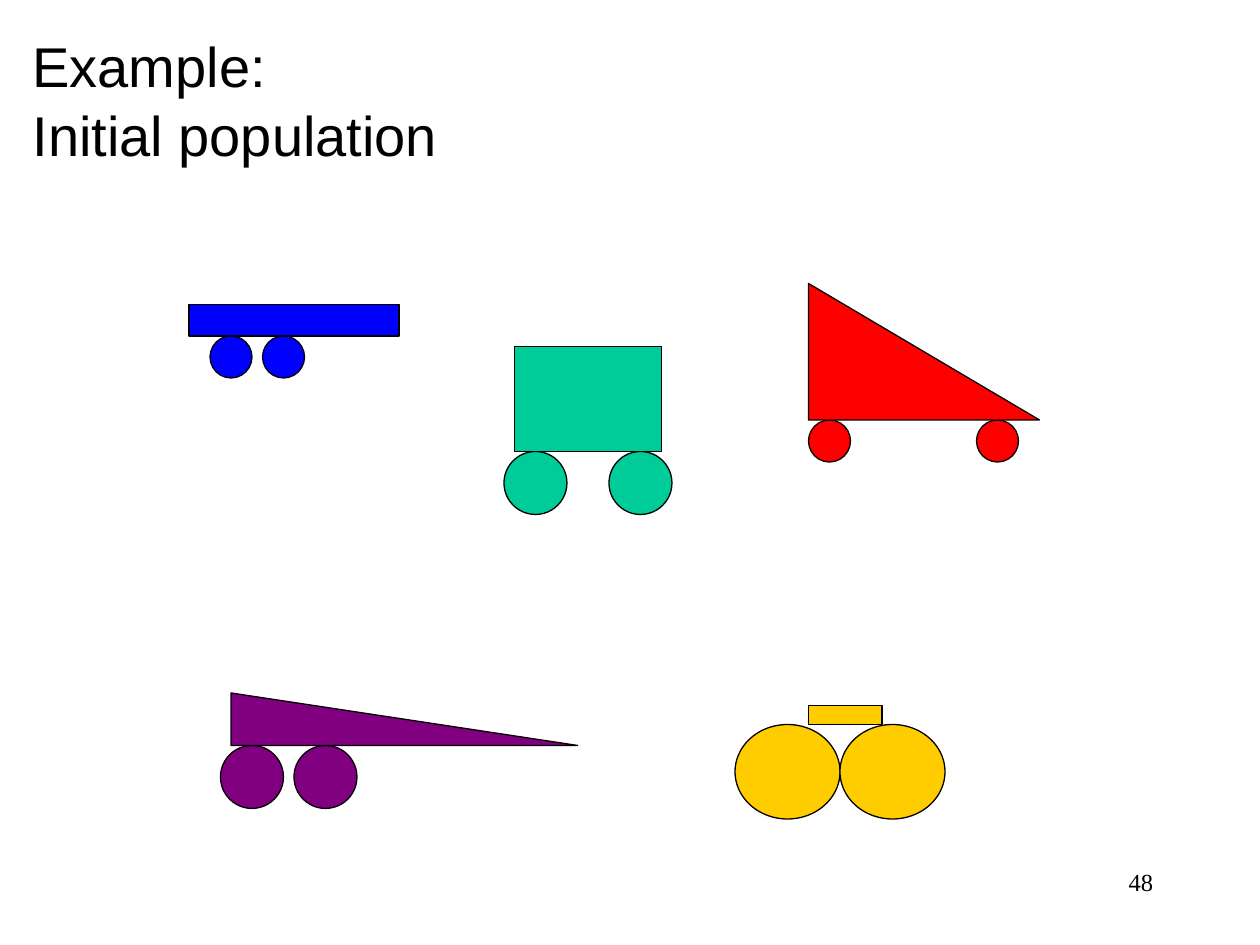
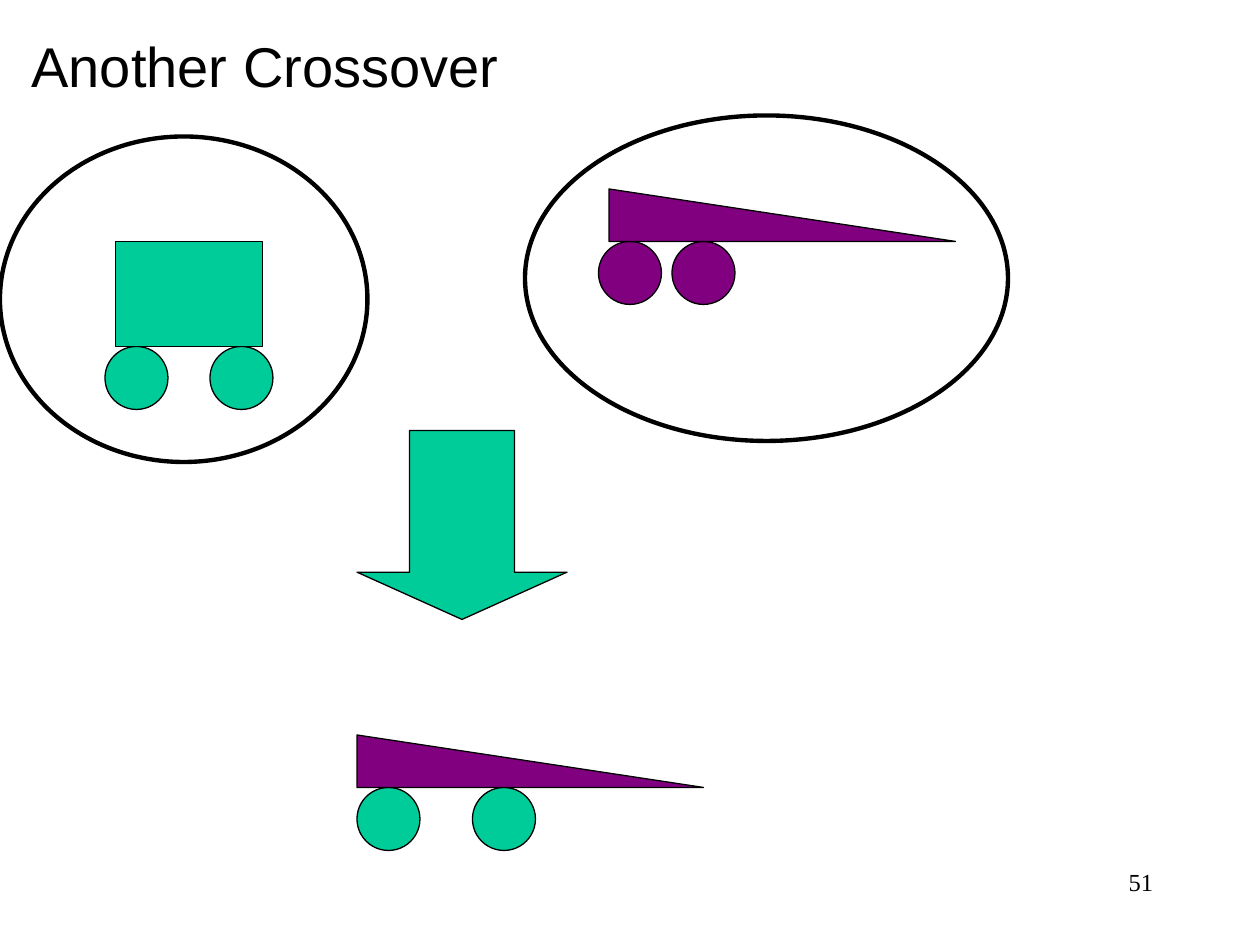
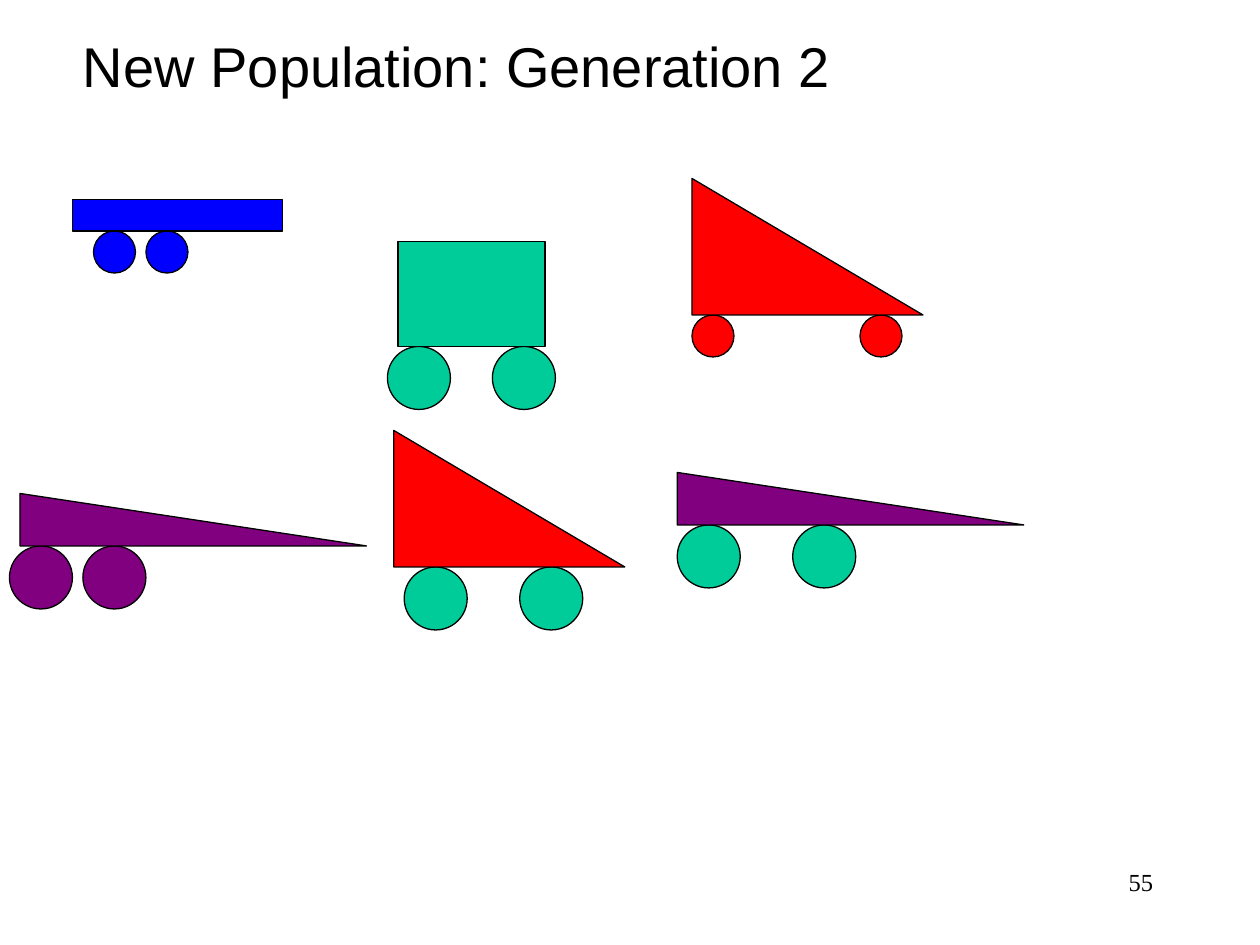
from collections import namedtuple

from pptx import Presentation
from pptx import util as u
from pptx.dml.color import RGBColor
from pptx.enum import shapes, text

PX = u.Inches(1) // 120
BLACK = RGBColor(0x00, 0x00, 0x00)
BLUE = RGBColor(0x00, 0x00, 0xFF)
GREEN = RGBColor(0x00, 0xCC, 0x99)
RED = RGBColor(0xFF, 0x00, 0x00)
PURPLE = RGBColor(0x80, 0x00, 0x80)
YELLOW = RGBColor(0xFF, 0xCC, 0x00)

SHAPE = shapes.MSO_SHAPE
TITLE_FONT = "Arial"
NUMBER_FONT = "Times New Roman"
NUMBER_BOX = (860, 820, 250, 60)

Car = namedtuple("Car", "kind size color wheel_size wheel_color wheel_offsets")
BLUE_CAR = Car(SHAPE.RECTANGLE, (200, 30), BLUE, (40, 40), BLUE, (20, 70))
GREEN_CAR = Car(SHAPE.RECTANGLE, (140, 100), GREEN, (60, 60), GREEN, (-10, 90))
RED_CAR = Car(SHAPE.RIGHT_TRIANGLE, (220, 130), RED, (40, 40), RED, (0, 160))
PURPLE_CAR = Car(SHAPE.RIGHT_TRIANGLE, (330, 50), PURPLE, (60, 60), PURPLE, (-10, 60))
YELLOW_CAR = Car(SHAPE.RECTANGLE, (70, 18), YELLOW, (100, 90), YELLOW, (-70, 30))
RED_CHILD = RED_CAR._replace(wheel_size=(60, 60), wheel_color=GREEN, wheel_offsets=(10, 120))
PURPLE_CHILD = PURPLE_CAR._replace(wheel_color=GREEN, wheel_offsets=(0, 110))


def emu(box):
    """Turn a box in px into EMU."""
    return [u.Emu(v * PX) for v in box]


def add_figure(s, kind, box, color=None, weight=0.75):
    """Draw an outlined shape, unfilled when no colour is given."""
    sp = s.shapes.add_shape(kind, *emu(box))
    sp.shadow.inherit = False
    if color is None:
        sp.fill.background()
    else:
        sp.fill.solid()
        sp.fill.fore_color.rgb = color
    sp.line.color.rgb = BLACK
    sp.line.width = u.Pt(weight)
    return sp


def add_car(s, car, x, y):
    """Draw a car whose body starts at x, y and rests on its wheels."""
    width, height = car.size
    for offset in car.wheel_offsets:
        add_figure(s, SHAPE.OVAL, (x + offset, y + height, *car.wheel_size), car.wheel_color)
    add_figure(s, car.kind, (x, y, width, height), car.color)


def add_run(p, words, font, size):
    """Add one black run to a paragraph."""
    r = p.add_run()
    r.text = words
    r.font.name = font
    r.font.size = u.Pt(size)
    r.font.color.rgb = BLACK


def add_title(s, lines, box):
    """Move the title placeholder to the box and fill in its lines."""
    sp = s.shapes.title
    sp.left, sp.top, sp.width, sp.height = emu(box)
    tf = sp.text_frame
    tf.word_wrap = False
    tf.auto_size = text.MSO_AUTO_SIZE.NONE
    tf.vertical_anchor = text.MSO_ANCHOR.TOP
    for i, line in enumerate(lines):
        p = tf.add_paragraph() if i else tf.paragraphs[0]
        p.alignment = text.PP_ALIGN.LEFT
        p.space_before = u.Pt(1 if i else 0)
        add_run(p, line, TITLE_FONT, 32)


def add_number(s, number):
    """Write the slide number at the bottom right."""
    tf = s.shapes.add_textbox(*emu(NUMBER_BOX)).text_frame
    tf.word_wrap = True
    p = tf.paragraphs[0]
    p.alignment = text.PP_ALIGN.RIGHT
    add_run(p, str(number), NUMBER_FONT, 14)


def add_slide(prs, lines, title_box, number, cars):
    """Add a slide with its title, number and placed cars."""
    s = prs.slides.add_slide(prs.slide_layouts[5])
    add_title(s, lines, title_box)
    add_number(s, number)
    for car, x, y in cars:
        add_car(s, car, x, y)
    return s


def add_crossover(s, parent_boxes, arrow_box):
    """Ring the parents and point an arrow at their child."""
    for box in parent_boxes:
        add_figure(s, SHAPE.OVAL, box, weight=2.5)
    arrow = add_figure(s, SHAPE.DOWN_ARROW, arrow_box, GREEN)
    arrow.adjustments[0] = 0.5
    arrow.adjustments[1] = 0.25


def main():
    """Build the three slides and save them."""
    prs = Presentation()
    prs.slide_width, prs.slide_height = emu((1200, 900))
    add_slide(prs, ["Example:", "Initial population"], (19, 24, 413, 142), 48, [
        (BLUE_CAR, 180, 290), (GREEN_CAR, 490, 330), (RED_CAR, 770, 270),
        (PURPLE_CAR, 220, 660), (YELLOW_CAR, 770, 672)])
    s = add_slide(prs, ["Another Crossover"], (18, 24, 473, 77), 51, [
        (GREEN_CAR, 110, 230), (PURPLE_CAR, 580, 180), (PURPLE_CHILD, 340, 700)])
    add_crossover(s, [(0, 130, 350, 310), (500, 110, 460, 310)], (340, 410, 200, 180))
    add_slide(prs, ["New Population: Generation 2"], (67, 24, 742, 77), 55, [
        (BLUE_CAR, 69, 190), (GREEN_CAR, 379, 230), (RED_CAR, 659, 170),
        (PURPLE_CAR, 19, 470), (RED_CHILD, 375, 410), (PURPLE_CHILD, 645, 450)])
    prs.save("out.pptx")


if __name__ == "__main__":
    main()
